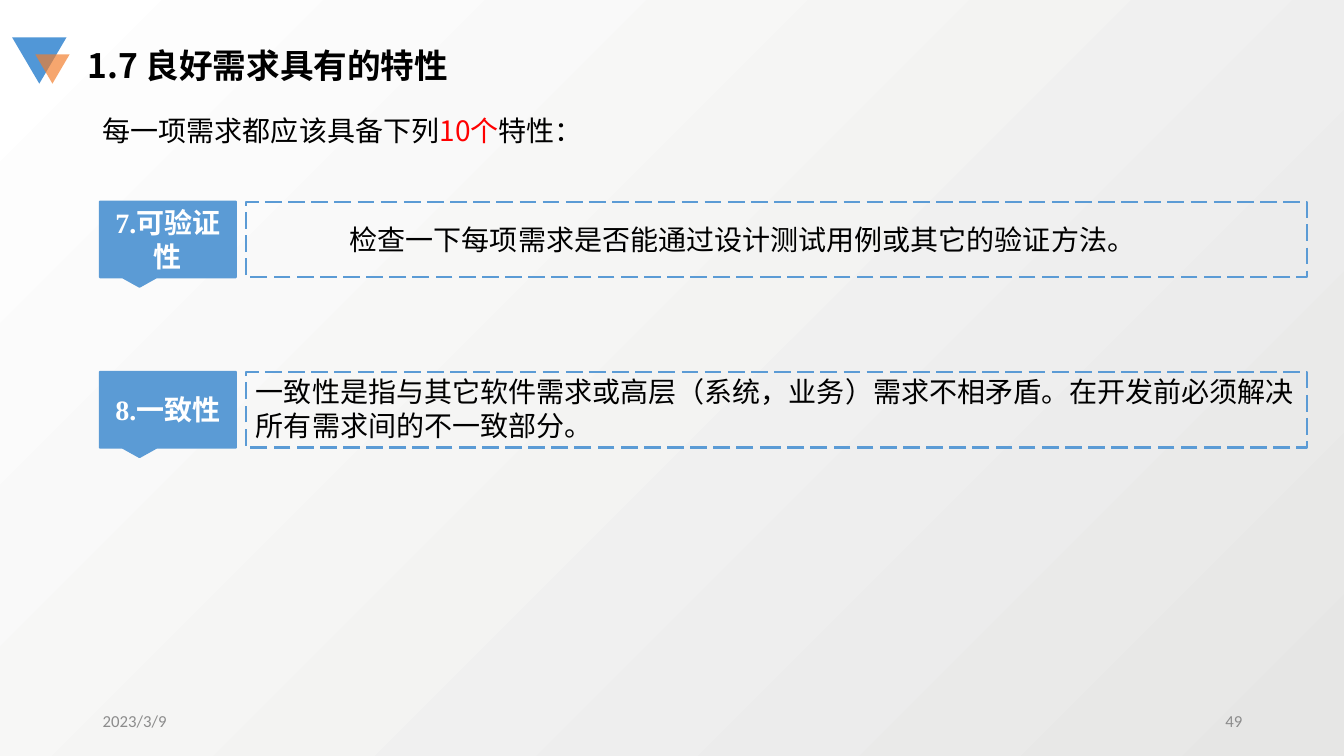
"""Builds the slide on the traits of good requirements."""
from dataclasses import dataclass

from lxml import etree
from pptx import Presentation
from pptx.dml.color import RGBColor
from pptx.enum.dml import MSO_LINE
from pptx.enum.shapes import MSO_SHAPE
from pptx.enum.text import MSO_ANCHOR, PP_ALIGN
from pptx.oxml.ns import qn
from pptx.util import Inches, Pt

LONG_DASH = MSO_LINE.LONG_DASH
TRIANGLE = MSO_SHAPE.ISOSCELES_TRIANGLE
RECTANGLE = MSO_SHAPE.RECTANGLE
CALLOUT = MSO_SHAPE.RECTANGULAR_CALLOUT
TOP, MIDDLE = MSO_ANCHOR.TOP, MSO_ANCHOR.MIDDLE
LEFT, CENTER, RIGHT = PP_ALIGN.LEFT, PP_ALIGN.CENTER, PP_ALIGN.RIGHT


@dataclass(frozen=True)
class Theme:
    """Colours, fonts and sizes of the slide."""
    background: tuple = ("E6E6E5", "FFFFFF")
    accent: str = "5B9BD5"
    mark_blue: str = "5197D7"
    mark_orange: str = "F37D2A"
    ink: str = "000000"
    highlight: str = "FF0000"
    muted: str = "8C8C8C"
    light: str = "FFFFFF"
    heading_font: str = "Noto Sans CJK SC"
    body_font: str = "Calibri"
    label_font: str = "Times New Roman"
    title_size: int = 24
    body_size: int = 20
    footer_size: int = 12
    line_width: float = 1.5


def write_text(shape, runs, font, size, bold=False, align=LEFT, anchor=TOP):
    """Fill a shape with one paragraph of (text, colour) runs."""
    frame = shape.text_frame
    frame.word_wrap = True
    frame.vertical_anchor = anchor
    paragraph = frame.paragraphs[0]
    paragraph.alignment = align
    for text, color in runs:
        run = paragraph.add_run()
        run.text = text
        run.font.name = font
        run.font.size = Pt(size)
        run.font.bold = bold
        run.font.color.rgb = RGBColor.from_string(color)


class SlideBuilder:
    """Draws styled elements on one slide."""

    def __init__(self, slide, theme):
        self.slide = slide
        self.theme = theme

    def background(self):
        """Paint the diagonal gradient."""
        fill = self.slide.background.fill
        fill.gradient()
        fill.gradient_angle = 135
        for stop, color in zip(fill.gradient_stops, self.theme.background):
            stop.color.rgb = RGBColor.from_string(color)

    def text(self, runs, box, **text_format):
        """Add a wrapped text box."""
        shape = self.slide.shapes.add_textbox(*map(Inches, box))
        write_text(shape, runs, **text_format)

    def shape(self, kind, box, fill=None, line=None, dash=None):
        """Add a preset shape without shadow."""
        shape = self.slide.shapes.add_shape(kind, *map(Inches, box))
        shape.shadow.inherit = False
        if fill:
            shape.fill.solid()
            shape.fill.fore_color.rgb = RGBColor.from_string(fill)
        else:
            shape.fill.background()
        if line:
            shape.line.color.rgb = RGBColor.from_string(line)
            shape.line.width = Pt(self.theme.line_width)
            shape.line.dash_style = dash
        else:
            shape.line.fill.background()
        return shape

    def triangle(self, box, color, opacity=100):
        """Add a downward triangle of the title mark."""
        shape = self.shape(TRIANGLE, box, fill=color)
        shape.rotation = 180
        if opacity < 100:
            color_element = next(shape.fill._xPr.iter(qn("a:srgbClr")))
            alpha = etree.SubElement(color_element, qn("a:alpha"))
            alpha.set("val", str(opacity * 1000))

    def trait(self, top, label, description, text_box):
        """Add a labelled callout beside its dashed description."""
        theme = self.theme
        self.shape(RECTANGLE, (2.44, top, 10.52, 0.75), line=theme.accent, dash=LONG_DASH)
        self.text([(description, theme.ink)], text_box,
                  font=theme.body_font, size=theme.body_size)
        callout = self.shape(CALLOUT, (0.99, top, 1.35, 0.75), theme.accent, theme.accent)
        write_text(callout, [(label, theme.light)], theme.label_font, theme.body_size,
                   bold=True, align=CENTER, anchor=MIDDLE)


def main():
    """Build and save the presentation."""
    presentation = Presentation()
    presentation.slide_width = Inches(13.33)
    presentation.slide_height = Inches(7.5)
    theme = Theme()
    builder = SlideBuilder(presentation.slides.add_slide(presentation.slide_layouts[6]), theme)
    builder.background()

    for text, left, align in (("2023/3/9", 0.92, LEFT), ("49", 9.42, RIGHT)):
        builder.text([(text, theme.muted)], (left, 6.95, 3, 0.4), font=theme.body_font,
                     size=theme.footer_size, align=align, anchor=MIDDLE)

    builder.triangle((0.12, 0.37, 0.54, 0.46), theme.mark_blue)
    builder.triangle((0.35, 0.54, 0.34, 0.29), theme.mark_orange, opacity=68)

    builder.trait(2, "7.可验证性", "检查一下每项需求是否能通过设计测试用例或其它的验证方法。",
                  (3.37, 2.16, 10.69, 0.44))
    builder.trait(3.69, "8.一致性",
                  "一致性是指与其它软件需求或高层（系统，业务）需求不相矛盾。"
                  "在开发前必须解决所有需求间的不一致部分。",
                  (2.44, 3.67, 10.69, 0.77))

    builder.text([("1.7 良好需求具有的特性", theme.ink)], (0.77, 0.4, 6.06, 0.5),
                 font=theme.heading_font, size=theme.title_size, bold=True)
    builder.text([("每一项需求都应该具备下列", theme.ink), ("10个", theme.highlight),
                  ("特性：", theme.ink)], (0.92, 1.08, 5.12, 0.44),
                 font=theme.heading_font, size=theme.body_size)
    presentation.save("out.pptx")


if __name__ == "__main__":
    main()
